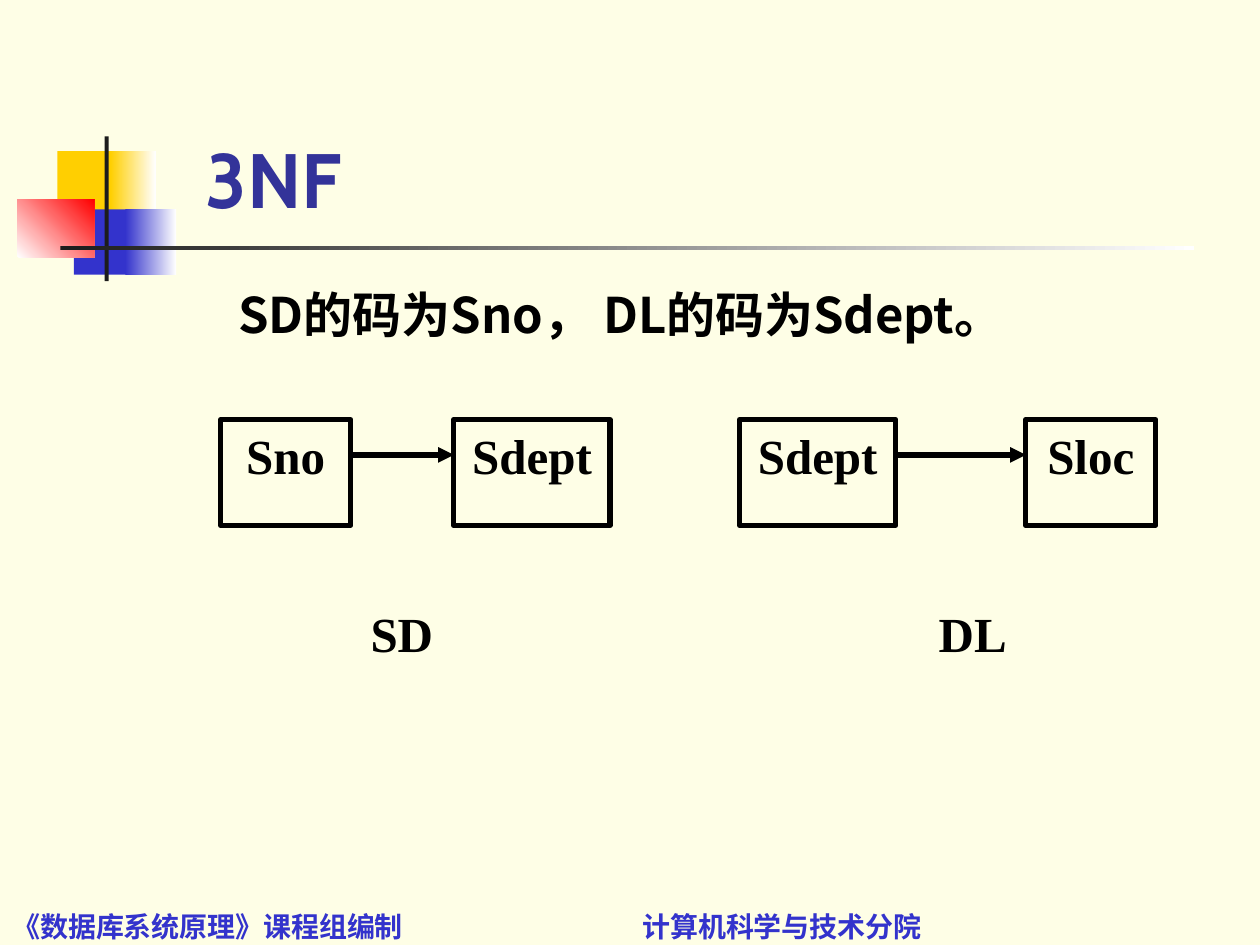
import pptx
import pptx.util
import pptx.dml.color
import pptx.enum.shapes
import pptx.enum.text
import pptx.oxml.ns
from lxml import etree

Cm, Pt = pptx.util.Cm, pptx.util.Pt
RECT = pptx.enum.shapes.MSO_SHAPE.RECTANGLE
LINE = pptx.enum.shapes.MSO_CONNECTOR.STRAIGHT
ALIGN = pptx.enum.text.PP_ALIGN
ANCHOR = pptx.enum.text.MSO_ANCHOR
qn = pptx.oxml.ns.qn

HUES = {
    "page": "FEFEE6", "gold": "FFCF01", "blue": "3333CC", "red": "FF0000",
    "white": "FFFFFF", "dark": "1C1C1C", "title": "333399", "ink": "000000",
}


def rgb(hue):
    return pptx.dml.color.RGBColor.from_string(HUES[hue])


def style(para, face, size, hue, align=ALIGN.LEFT):
    """Give a paragraph its font, for Latin and East Asian text alike."""
    para.alignment = align
    font = para.font
    font.size, font.bold, font.name = Pt(size), True, face
    font.color.rgb = rgb(hue)
    props = para._p.pPr.find(qn("a:defRPr"))
    etree.SubElement(props, qn("a:ea"), typeface=face)


def place(shape, box):
    shape.left, shape.top, shape.width, shape.height = map(Cm, box)


def block(slide, box, hue, fade=None, angle=0):
    """Plain rectangle, or one that fades from hue to fade."""
    shape = slide.shapes.add_shape(RECT, *map(Cm, box))
    shape.shadow.inherit = False
    shape.line.fill.background()
    if fade is None:
        shape.fill.solid()
        shape.fill.fore_color.rgb = rgb(hue)
        return
    shape.fill.gradient()
    shape.fill.gradient_angle = angle
    for stop, name in zip(shape.fill.gradient_stops, (hue, fade)):
        stop.color.rgb = rgb(name)


def motif(slide, box):
    """Coloured squares crossed by a bar and a long fading rule."""
    x, y, wide, high = box
    block(slide, (x + 0.81, y + 0.3, 1.22, 1.32), "gold")
    block(slide, (x + 1.88, y + 0.3, 0.91, 1.32), "gold", "white")
    block(slide, (x + 1.14, y + 1.47, 1.17, 1.32), "blue")
    block(slide, (x + 2.18, y + 1.47, 1.02, 1.32), "blue", "white")
    block(slide, (x, y + 1.27, 1.55, 1.17), "white", "red", 45)
    block(slide, (x + 1.76, y, 0.08, high), "dark")
    block(slide, (x + 0.87, y + 2.2, wide - 0.87, 0.1), "dark", "white")


def heading(slide, box):
    shape = slide.shapes.title
    place(shape, box)
    frame = shape.text_frame
    frame.text = "3NF"
    frame.vertical_anchor = ANCHOR.BOTTOM
    frame.margin_left = Cm(0.95)
    style(frame.paragraphs[0], "Cabin", 44, "title")


def body(slide, box):
    shape = slide.placeholders[1]
    place(shape, box)
    frame = shape.text_frame
    frame.text = "SD的码为Sno， DL的码为Sdept。"
    para = frame.paragraphs[0]
    para.level = 1
    para.space_before = Pt(0)
    props = para._p.get_or_add_pPr()
    props.set("marL", str(Cm(2.06)))
    props.set("indent", str(Cm(-0.79)))
    etree.SubElement(props, qn("a:buNone"))
    style(para, "Noto Sans CJK KR", 28, "ink")


def term(shape, text):
    frame = shape.text_frame
    frame.text = text
    frame.word_wrap = True
    frame.vertical_anchor = ANCHOR.TOP
    style(frame.paragraphs[0], "Times New Roman", 28, "ink", ALIGN.CENTER)


def node(slide, box, text):
    shape = slide.shapes.add_shape(RECT, *map(Cm, box))
    shape.shadow.inherit = False
    shape.fill.background()
    shape.line.color.rgb = rgb("ink")
    shape.line.width = Pt(3)
    term(shape, text)


def arrow(slide, start, end, y):
    link = slide.shapes.add_connector(LINE, Cm(start), Cm(y), Cm(end), Cm(y))
    link.line.color.rgb = rgb("ink")
    link.line.width = Pt(3)
    etree.SubElement(link.line._get_or_add_ln(), qn("a:tailEnd"), type="triangle")
    etree.SubElement(link._element.spPr, qn("a:effectLst"))


def diagram(slide, box, names, widths, label, shift):
    """Two nodes at the ends of the box, an arrow, and a label below."""
    x, y, wide, high = box
    tall = 2.13
    first, last = widths
    right = x + wide - last
    node(slide, (x, y, first, tall), names[0])
    node(slide, (right, y, last, tall), names[1])
    arrow(slide, x + first, right, y + 0.71)
    spot = (x + shift, y + high - tall, 2.08, tall)
    term(slide.shapes.add_textbox(*map(Cm, spot)), label)


def footer(slide, box):
    frame = slide.shapes.add_textbox(*map(Cm, box)).text_frame
    frame.word_wrap = True
    frame.vertical_anchor = ANCHOR.BOTTOM
    frame.text = "《数据库系统原理》课程组编制\t计算机科学与技术分院"
    para = frame.paragraphs[0]
    tabs = etree.SubElement(para._p.get_or_add_pPr(), qn("a:tabLst"))
    etree.SubElement(tabs, qn("a:tab"), pos=str(Cm(12.7)), algn="l")
    style(para, "Noto Sans CJK SC", 16, "blue")


def main():
    deck = pptx.Presentation()
    deck.slide_width, deck.slide_height = Cm(25.4), Cm(19.05)
    slide = deck.slides.add_slide(deck.slide_layouts[1])
    slide.background.fill.solid()
    slide.background.fill.fore_color.rgb = rgb("page")

    # Frame of the slide
    motif(slide, (0.35, 2.75, 23.73, 2.92))
    footer(slide, (0, 18.52, 25.4, 0.61))

    # Title and statement
    heading(slide, (3.2, 0.58, 21.64, 4.06))
    body(slide, (3.28, 5.61, 21.59, 12.32))

    # Dependency diagrams
    small, large = 2.62, 3.15
    diagram(slide, (4.45, 8.46, 7.85, 5.72), ("Sno", "Sdept"),
            (small, large), "SD", 2.61)
    diagram(slide, (14.91, 8.46, 8.39, 5.72), ("Sdept", "Sloc"),
            (large, small), "DL", 3.66)

    deck.save("out.pptx")


if __name__ == "__main__":
    main()
